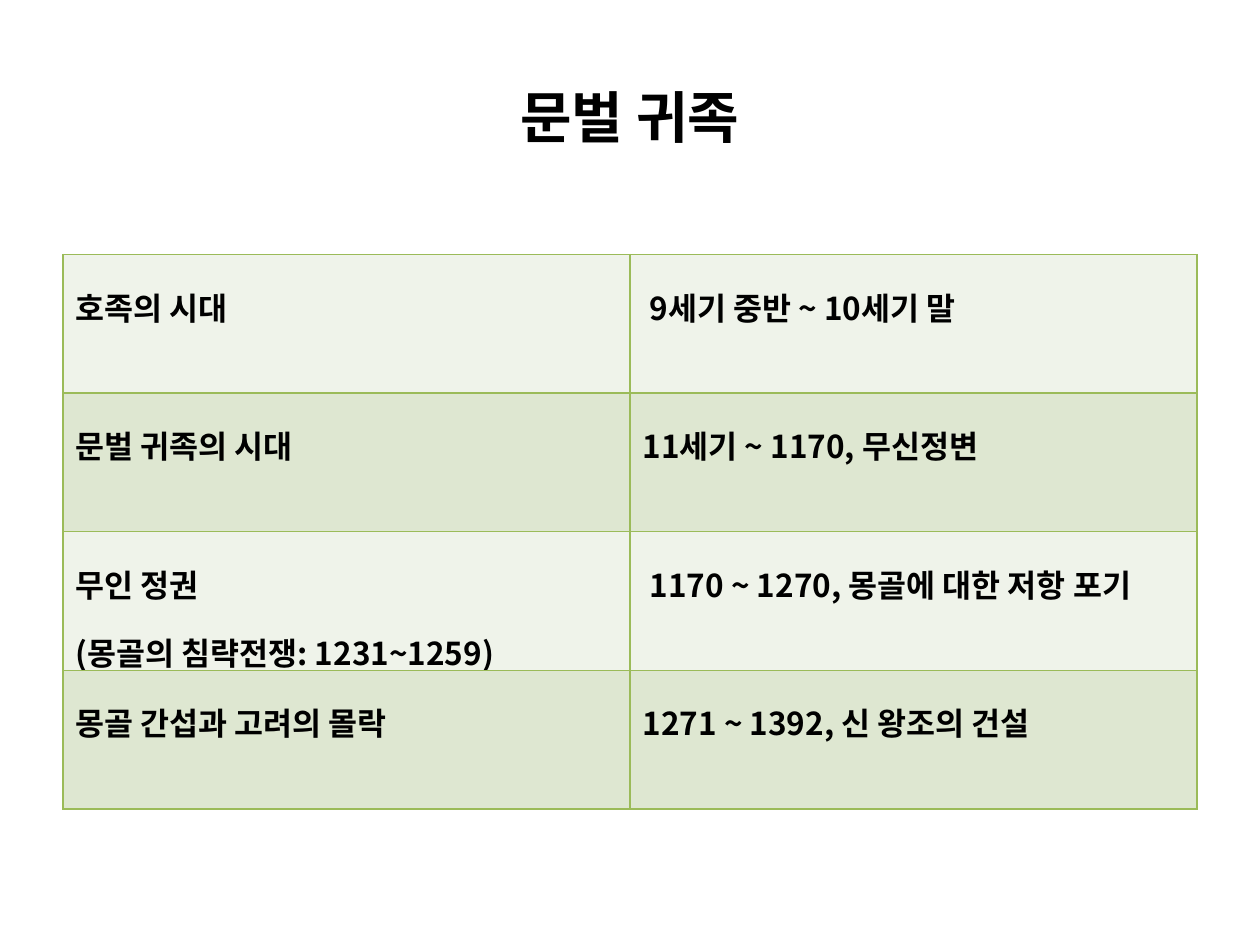
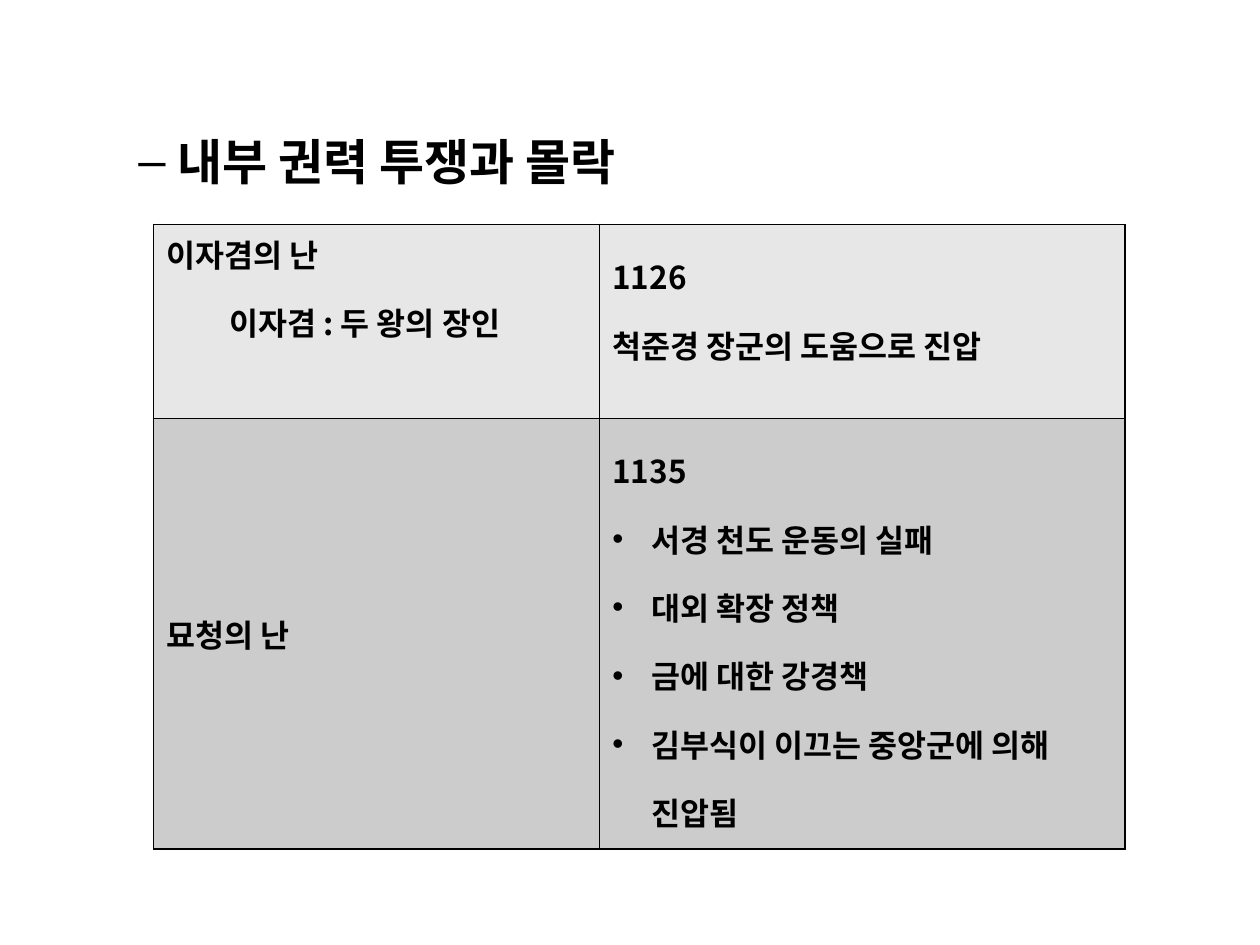
"""Build two slides on the aristocratic clans of Goryeo and their fall."""
from lxml.etree import SubElement
from pptx import Presentation
from pptx.dml.color import RGBColor as Color
from pptx.enum.text import MSO_ANCHOR as Anchor, PP_ALIGN as Align
from pptx.oxml.ns import qn
from pptx.util import Inches, Pt

FONT = "Noto Sans CJK KR"
COLORS = {
    "ink": "000000",
    "green_line": "9BBB59", "green_light": "EFF3EA", "green_dark": "DEE7D1",
    "gray_line": "000000", "gray_light": "E7E7E7", "gray_dark": "CCCCCC",
}


def write(frame, lines, size):
    """Fill a text frame with (text, line spacing, left margin, bullet) lines."""
    for index, (text, spacing, margin, bullet) in enumerate(lines):
        para = frame.paragraphs[0] if index == 0 else frame.add_paragraph()
        para.text = text
        props = para._p.get_or_add_pPr()
        props.set("marL", str(Inches(margin)))
        props.set("indent", str(Inches(-0.31 if bullet else 0)))
        if bullet:
            SubElement(props, qn("a:buFont"), typeface="Arial")
            SubElement(props, qn("a:buChar"), char=bullet)
        para.line_spacing = spacing
        para.font.size = Pt(size)
        para.font.bold = True
        para.font.color.rgb = Color.from_string(COLORS["ink"])
        para.font.name = FONT
        SubElement(props.find(qn("a:defRPr")), qn("a:ea"), typeface=FONT)


def add_grid(page, left, top, widths, heights, rows, theme):
    """Add a bordered table whose row fills alternate between two shades."""
    table = page.shapes.add_table(
        len(heights), len(widths), Inches(left), Inches(top),
        Inches(sum(widths)), Inches(sum(heights))).table
    table.first_row = table.horz_banding = False
    for column, width in zip(table.columns, widths):
        column.width = Inches(width)
    for row_index, (height, row) in enumerate(zip(heights, rows)):
        table.rows[row_index].height = Inches(height)
        shade = COLORS[theme + ("_dark" if row_index % 2 else "_light")]
        for column_index, lines in enumerate(row):
            cell = table.cell(row_index, column_index)
            write(cell.text_frame, lines, 18)
            props = cell._tc.get_or_add_tcPr()
            for side in ("lnL", "lnR", "lnT", "lnB"):
                line = SubElement(props, qn("a:" + side), w=str(Pt(1)))
                fill = SubElement(line, qn("a:solidFill"))
                SubElement(fill, qn("a:srgbClr"), val=COLORS[theme + "_line"])
            cell.fill.solid()
            cell.fill.fore_color.rgb = Color.from_string(shade)
    return table


deck = Presentation()
deck.slide_width, deck.slide_height = Inches(10), Inches(7.5)
blank = deck.slide_layouts[6]

page = deck.slides.add_slide(blank)
box = page.shapes.add_textbox(Inches(0.5), Inches(0.3), Inches(9), Inches(1.25))
title = box.text_frame
title.word_wrap = True
title.vertical_anchor = Anchor.MIDDLE
write(title, [("문벌 귀족", 1.0, 0, None)], 32)
title.paragraphs[0].alignment = Align.CENTER

eras = [
    (["호족의 시대"], [" 9세기 중반 ~ 10세기 말"]),
    (["문벌 귀족의 시대"], ["11세기 ~ 1170, 무신정변"]),
    (["무인 정권", "(몽골의 침략전쟁: 1231~1259)"],
     [" 1170 ~ 1270, 몽골에 대한 저항 포기"]),
    (["몽골 간섭과 고려의 몰락"], ["1271 ~ 1392, 신 왕조의 건설"]),
]
era_rows = [[[(text, 1.5, 0, None) for text in cell] for cell in row] for row in eras]
add_grid(page, 0.5, 2.02, [4.5] * 2, [1.1] * 4, era_rows, "green")

page = deck.slides.add_slide(blank)
box = page.shapes.add_textbox(Inches(0.5), Inches(0.76), Inches(9.22), Inches(5.94))
heading = box.text_frame
heading.word_wrap = True
write(heading, [("내부 권력 투쟁과 몰락", 1.5, 0.81, "–")], 28)
heading.paragraphs[0].space_before = Pt(5.6)

causes = ["서경 천도 운동의 실패", "대외 확장 정책", "금에 대한 강경책",
          "김부식이 이끄는 중앙군에 의해 진압됨"]
revolt_rows = [
    [[("이자겸의 난", 1.0, 0, None), ("이자겸 : 두 왕의 장인", 1.5, 0.5, None)],
     [("1126", 1.5, 0, None), ("척준경 장군의 도움으로 진압", 1.5, 0, None)]],
    [[("묘청의 난", 1.0, 0, None)],
     [("1135", 1.5, 0, None)] + [(cause, 1.5, 0.31, "•") for cause in causes]],
]
revolts = add_grid(page, 1.22, 1.78, [3.54, 4.17], [1.54, 3.42], revolt_rows, "gray")
revolts.cell(1, 0).vertical_anchor = Anchor.MIDDLE

deck.save("out.pptx")
